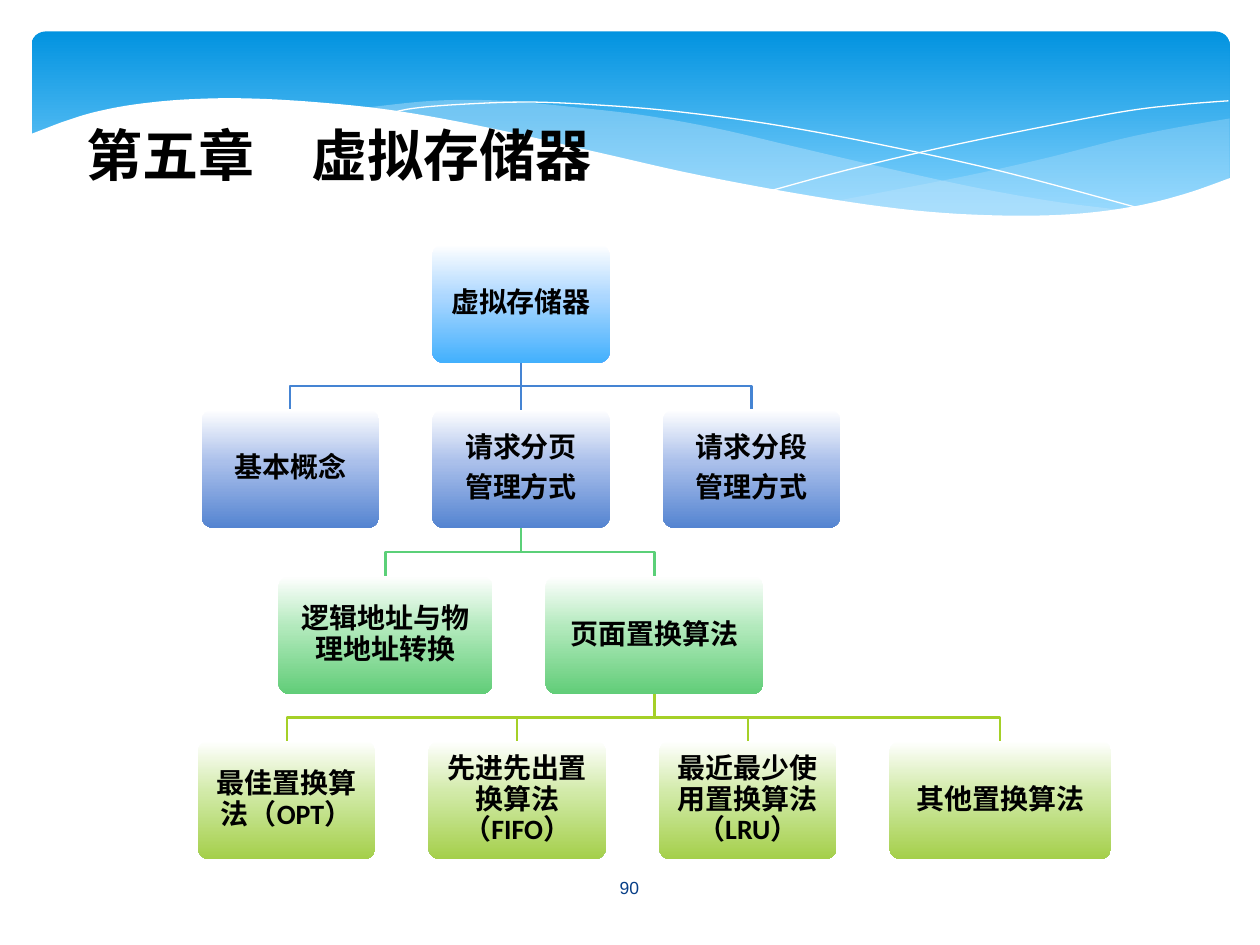
import pptx
import pptx.util
import pptx.dml.color
import pptx.enum.shapes
import pptx.enum.text
import pptx.oxml.ns
import lxml.etree

PX = pptx.util.Inches(1) // 100
CJK_FONT = "Noto Sans CJK SC"
ALIGN = pptx.enum.text.PP_ALIGN
ANCHOR = pptx.enum.text.MSO_ANCHOR
ROUNDED = pptx.enum.shapes.MSO_SHAPE.ROUNDED_RECTANGLE

TITLE = "第五章\u3000虚拟存储器".replace("\u3000", "　")
PAGE_NUMBER = "90"

HEADER_STOPS = [(0, "0293E0"), (90, "83D3FE")]
WAVES = [
    ("C6E7FC", 29, [
        [(976, 94), (935, 101), (891, 110), (832, 125), (779, 137), (729, 147), (661, 160)],
        [(661, 160), (705, 166), (757, 170), (803, 172), (844, 171), (889, 166),
         (928, 158), (963, 147), (976, 141)]]),
    ("C6E7FC", 40, [
        [(893, 167), (837, 160), (775, 149), (706, 134), (629, 116), (569, 102),
         (514, 92), (464, 86), (399, 80), (344, 80), (286, 86)],
        [(286, 86), (342, 94), (404, 106), (449, 116), (530, 135), (601, 150),
         (665, 161), (722, 168), (773, 172), (818, 173), (857, 171), (893, 167)]]),
]
WAVE_LINES = [
    [(309, 90), (328, 86), (363, 83), (416, 81), (469, 83), (532, 88), (608, 98),
     (695, 114), (795, 136), (907, 166)],
    [(613, 151), (672, 135), (748, 117), (836, 99), (895, 88), (937, 83), (975, 80)],
]
WHITE_WAVE = ("FFFFFF", 100, [
    [(977, 141), (940, 154), (899, 164), (850, 170), (793, 171), (726, 167), (647, 156),
     (555, 139), (475, 121), (391, 102), (315, 88), (250, 81), (193, 78), (146, 79),
     (106, 83), (75, 89), (52, 96), (36, 102), (23, 107)],
    [(23, 224), (977, 224)]])

NODE_HEIGHT = 94
LEVELS = [
    {"top": 194, "middle": "ACD7FF", "bottom": "42B0FD", "line": None},
    {"top": 325, "middle": "ABC0EB", "bottom": "5484D1", "line": "4584D3"},
    {"top": 457, "middle": "B1E9BB", "bottom": "61CD78", "line": "5BD078"},
    {"top": 588, "middle": "D1EAA7", "bottom": "A4CF4A", "line": "A5D028"},
]
NODES = [
    ("root", None, 0, 343, 141, ["虚拟存储器"]),
    ("concepts", "root", 1, 160, 141, ["基本概念"]),
    ("paging", "root", 1, 343, 141, ["请求分页", "管理方式"]),
    ("segments", "root", 1, 526, 141, ["请求分段", "管理方式"]),
    ("addresses", "paging", 2, 221, 170, ["逻辑地址与物理地址转换"]),
    ("replacement", "paging", 2, 433, 173, ["页面置换算法"]),
    ("optimal", "replacement", 3, 157, 141, ["最佳置换算法（OPT）"]),
    ("first_in", "replacement", 3, 340, 141, ["先进先出置换算法（FIFO）"]),
    ("least_recent", "replacement", 3, 523, 141, ["最近最少使用置换算法（LRU）"]),
    ("others", "replacement", 3, 706, 176, ["其他置换算法"]),
]


def color(value):
    return pptx.dml.color.RGBColor.from_string(value)


def box(left, top, width, height):
    return [value * PX for value in (left, top, width, height)]


def add_child(parent, tag, **attributes):
    return lxml.etree.SubElement(parent, pptx.oxml.ns.qn(tag), **attributes)


def add_text(paragraph, text, size, font, value, bold=False):
    run = paragraph.add_run()
    run.text = text
    run.font.size = pptx.util.Pt(size)
    run.font.name = font
    run.font.bold = bold
    run.font.color.rgb = color(value)
    add_child(run.font._element, "a:ea", typeface=CJK_FONT)


def add_rounded(slide, bounds, radius, stops):
    shape = slide.shapes.add_shape(ROUNDED, *box(*bounds))
    shape.shadow.inherit = False
    shape.adjustments[0] = radius
    shape.fill.gradient()
    shape.fill.gradient_angle = 270
    stop_list = shape.element.spPr.find(".//" + pptx.oxml.ns.qn("a:gsLst"))
    for stop in list(stop_list):
        stop_list.remove(stop)
    for position, value in stops:
        stop = add_child(stop_list, "a:gs", pos=str(position * 1000))
        add_child(stop, "a:srgbClr", val=value)
    shape.line.fill.background()
    return shape


def smooth(knots, steps=6):
    padded = [knots[0]] + knots + [knots[-1]]
    points = [knots[0]]
    for a, b, c, d in zip(padded, padded[1:], padded[2:], padded[3:]):
        for step in range(1, steps + 1):
            t = step / steps
            points.append(tuple(
                (2 * q + (r - p) * t + (2 * p - 5 * q + 4 * r - s) * t ** 2
                 + (3 * q - p - 3 * r + s) * t ** 3) / 2
                for p, q, r, s in zip(a, b, c, d)))
    return points


def add_outline(slide, points, closed):
    points = [(x * PX, y * PX) for x, y in points]
    builder = slide.shapes.build_freeform(*points[0])
    builder.add_line_segments(points[1:], close=closed)
    shape = builder.convert_to_shape()
    shape.shadow.inherit = False
    return shape


def add_wave(slide, value, opacity, curves):
    shape = add_outline(slide, [point for curve in curves for point in smooth(curve)], True)
    shape.fill.solid()
    shape.fill.fore_color.rgb = color(value)
    shape.line.fill.background()
    fill_color = shape.element.spPr.find(".//" + pptx.oxml.ns.qn("a:srgbClr"))
    add_child(fill_color, "a:alpha", val=str(opacity * 1000))


def add_path(slide, points, value, width):
    shape = add_outline(slide, points, False)
    shape.fill.background()
    shape.line.color.rgb = color(value)
    shape.line.width = pptx.util.Pt(width)


def add_node(slide, level, left, width, lines):
    stops = [(0, "FFFFFF"), (44, level["middle"]), (100, level["bottom"])]
    shape = add_rounded(slide, (left, level["top"], width, NODE_HEIGHT), 0.1, stops)
    frame = shape.text_frame
    frame.word_wrap = True
    frame.vertical_anchor = ANCHOR.MIDDLE
    frame.margin_left = frame.margin_right = frame.margin_top = frame.margin_bottom = 7 * PX
    for index, line in enumerate(lines):
        paragraph = frame.add_paragraph() if index else frame.paragraphs[0]
        paragraph.alignment = ALIGN.CENTER
        paragraph.line_spacing = 0.9
        paragraph.space_after = pptx.util.Pt(5.6)
        add_text(paragraph, line, 16, "Calibri", "000000", True)
    return shape


def add_branch(slide, parent, child, value):
    start_x, end_x = [(shape.left + shape.width / 2) / PX for shape in (parent, child)]
    start_y, end_y = (parent.top + parent.height) / PX, child.top / PX
    if start_x == end_x:
        line = slide.shapes.add_connector(pptx.enum.shapes.MSO_CONNECTOR.STRAIGHT, 0, 0, 0, 0)
        line.begin_connect(parent, 2)
        line.end_connect(child, 0)
        line.line.color.rgb = color(value)
        line.line.width = pptx.util.Pt(1.25)
        add_child(line.element.spPr, "a:effectLst")
        return
    middle_y = (start_y + end_y) / 2
    add_path(slide, [(start_x, start_y), (start_x, middle_y), (end_x, middle_y),
                     (end_x, end_y)], value, 1.25)


def main():
    presentation = pptx.Presentation()
    presentation.slide_width, presentation.slide_height = 1000 * PX, 750 * PX
    slide = presentation.slides.add_slide(presentation.slide_layouts[5])

    add_rounded(slide, (25, 25, 951, 156), 0.071, HEADER_STOPS)
    for wave in WAVES:
        add_wave(slide, *wave)
    for knots in WAVE_LINES:
        add_path(slide, smooth(knots), "FFFFFF", 0)
    add_wave(slide, *WHITE_WAVE)

    number = slide.shapes.add_textbox(*box(436, 684, 127, 40)).text_frame
    number.word_wrap = True
    number.vertical_anchor = ANCHOR.MIDDLE
    number.paragraphs[0].alignment = ALIGN.CENTER
    add_text(number.paragraphs[0], PAGE_NUMBER, 10, "Arial", "073E87")

    shapes = {}
    for name, parent, depth, left, width, lines in NODES:
        shapes[name] = add_node(slide, LEVELS[depth], left, width, lines)
        if parent:
            add_branch(slide, shapes[parent], shapes[name], LEVELS[depth]["line"])

    title = slide.shapes.title
    title.left, title.top, title.width, title.height = box(59, 91, 426, 64)
    title.text_frame.word_wrap = False
    title.text_frame.auto_size = pptx.enum.text.MSO_AUTO_SIZE.SHAPE_TO_FIT_TEXT
    title.text_frame.vertical_anchor = ANCHOR.TOP
    title.text_frame.paragraphs[0].alignment = ALIGN.LEFT
    add_text(title.text_frame.paragraphs[0], TITLE, 32, CJK_FONT, "000000", True)
    title.element.getparent().append(title.element)

    presentation.save("out.pptx")


if __name__ == "__main__":
    main()
